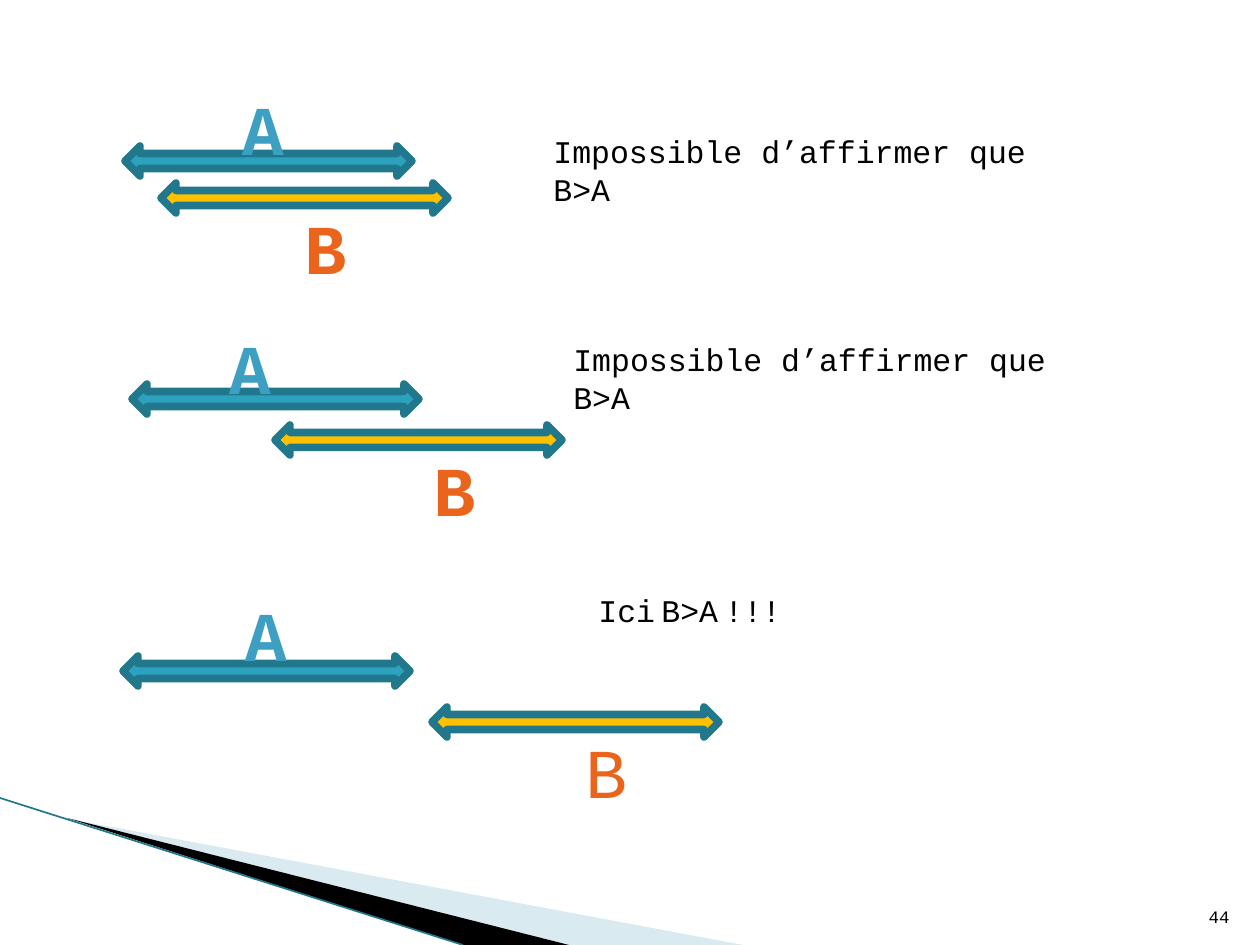
from pptx import Presentation
from pptx.dml.color import RGBColor
from pptx.enum.shapes import MSO_CONNECTOR, MSO_SHAPE
from pptx.enum.text import MSO_ANCHOR, MSO_AUTO_SIZE, PP_ALIGN
from pptx.oxml.ns import qn
from pptx.util import Emu, Pt
from lxml.etree import SubElement

PX = 914400 / 126
FONT = "Courier New"
BLACK = RGBColor(0x00, 0x00, 0x00)
PALE_BLUE = RGBColor(0xA0, 0xCB, 0xDC)
TEAL = RGBColor(0x2D, 0xA2, 0xBF)
DARK_TEAL = RGBColor(0x21, 0x78, 0x8D)
AMBER = RGBColor(0xFF, 0xC0, 0x00)
LETTER_BLUE = RGBColor(0x3D, 0xA0, 0xC2)
ORANGE = RGBColor(0xEB, 0x64, 0x1B)


def px(*lengths):
    return [Emu(round(length * PX)) for length in lengths]


def add_text(shapes, area, text, size, color, align=PP_ALIGN.LEFT, bold=False, wrap=True):
    box = shapes.add_textbox(*px(*area))
    frame = box.text_frame
    frame.word_wrap = wrap
    frame.auto_size = MSO_AUTO_SIZE.SHAPE_TO_FIT_TEXT
    para = frame.paragraphs[0]
    para.alignment = align
    span = para.add_run()
    span.text = text
    span.font.name = FONT
    span.font.size = Pt(size)
    span.font.bold = bold
    span.font.color.rgb = color
    return box


deck = Presentation()
deck.slide_width, deck.slide_height = px(1260, 945)
page = deck.slides.add_slide(deck.slide_layouts[6])

# Corner decoration: two wedges and an edge line
wedges = [
    ([(69, 819), (743, 945), (569, 945)], PALE_BLUE, 40),
    ([(67, 818), (569, 945), (463, 945)], BLACK, 100),
]
for points, color, opacity in wedges:
    builder = page.shapes.build_freeform(*points[0], scale=PX)
    builder.add_line_segments(points[1:], close=True)
    wedge = builder.convert_to_shape()
    wedge.shadow.inherit = False
    wedge.line.fill.background()
    wedge.fill.solid()
    wedge.fill.fore_color.rgb = color
    if opacity < 100:
        color_node = wedge.fill._xPr.find(qn("a:solidFill"))[0]
        SubElement(color_node, qn("a:alpha")).set("val", str(opacity * 1000))

edge = page.shapes.add_connector(MSO_CONNECTOR.STRAIGHT, *px(0, 798, 463, 945))
edge.line.color.rgb = DARK_TEAL
edge.line.width = Pt(0.95)
SubElement(edge._element.spPr, qn("a:effectLst"))

# Conclusions, one per comparison
conclusions = [
    (541, 126, "Impossible d’affirmer que B>A"),
    (561, 334, "Impossible d’affirmer que B>A"),
    (586, 585, "Ici\tB>A\t!!!"),
]
for left, top, text in conclusions:
    add_text(page.shapes, (left, top, 556, 50), text, 18, BLACK)

# Interval comparisons: arrow A, arrow B, letter A, letter B, whether B is bold
comparisons = [
    ((125, 146), (161, 183), (226, 79), (292, 198), True),
    ((132, 384), (275, 425), (213, 318), (421, 440), True),
    ((123, 656), (432, 707), (229, 585), (573, 722), False),
]
for arrow_a, arrow_b, letter_a, letter_b, bold_b in comparisons:
    group = page.shapes.add_group_shape()
    for corner, color in ((arrow_a, TEAL), (arrow_b, AMBER)):
        arrow = group.shapes.add_shape(MSO_SHAPE.LEFT_RIGHT_ARROW, *px(*corner, 287, 30))
        arrow.shadow.inherit = False
        arrow.fill.solid()
        arrow.fill.fore_color.rgb = color
        arrow.line.color.rgb = DARK_TEAL
        arrow.line.width = Pt(4.33)
    add_text(group.shapes, (*letter_b, 25, 97), "B", 40, ORANGE, PP_ALIGN.CENTER, bold_b)
    add_text(group.shapes, (*letter_a, 74, 97), "A", 40, LETTER_BLUE, PP_ALIGN.CENTER, True, wrap=False)

# Page number
number = add_text(page.shapes, (1192, 883, 50, 50), "44", 10, BLACK, PP_ALIGN.RIGHT)
number.text_frame.auto_size = MSO_AUTO_SIZE.NONE
number.text_frame.vertical_anchor = MSO_ANCHOR.BOTTOM

deck.save("out.pptx")
